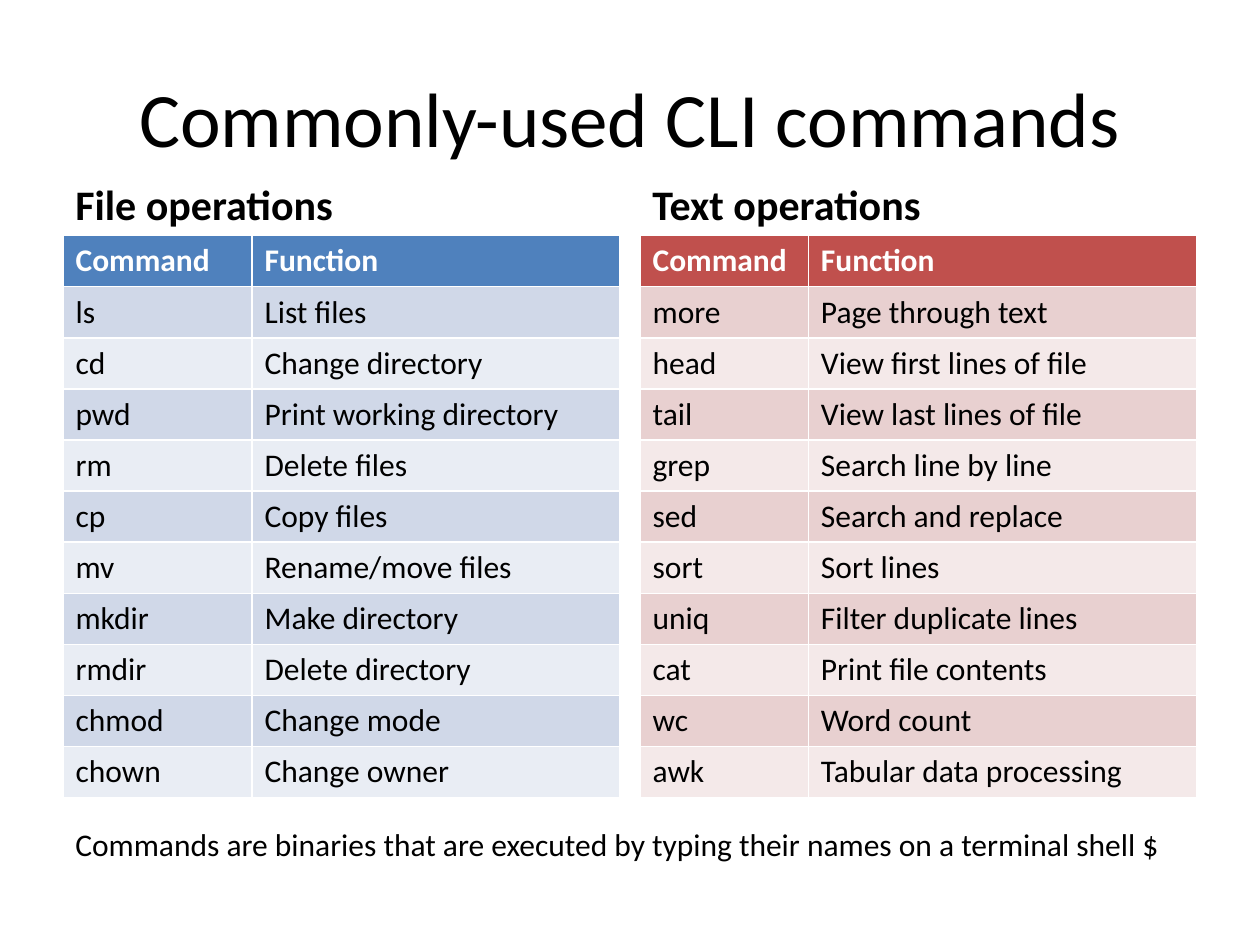
from pptx import Presentation
from pptx.dml.color import RGBColor
from pptx.enum import text
from pptx.util import Pt

FONT = "Calibri"
BLACK = RGBColor(0x00, 0x00, 0x00)
WHITE = RGBColor(0xFF, 0xFF, 0xFF)
BLUE = RGBColor(0x4F, 0x81, 0xBD)
BLUE_BANDS = (RGBColor(0xD0, 0xD8, 0xE8), RGBColor(0xE9, 0xED, 0xF4))
RED = RGBColor(0xC0, 0x50, 0x4D)
RED_BANDS = (RGBColor(0xE8, 0xD0, 0xD0), RGBColor(0xF4, 0xE9, 0xE9))

MARGIN = 36
PANEL_WIDTH = 318.24
HEADING_HEIGHT = 50.4
ROW_HEIGHT = 29.2

FILE_COMMANDS = [
    ("ls", "List files"),
    ("cd", "Change directory"),
    ("pwd", "Print working directory"),
    ("rm", "Delete files"),
    ("cp", "Copy files"),
    ("mv", "Rename/move files"),
    ("mkdir", "Make directory"),
    ("rmdir", "Delete directory"),
    ("chmod", "Change mode"),
    ("chown", "Change owner"),
]
TEXT_COMMANDS = [
    ("more", "Page through text"),
    ("head", "View first lines of file"),
    ("tail", "View last lines of file"),
    ("grep", "Search line by line"),
    ("sed", "Search and replace"),
    ("sort", "Sort lines"),
    ("uniq", "Filter duplicate lines"),
    ("cat", "Print file contents"),
    ("wc", "Word count"),
    ("awk", "Tabular data processing"),
]


def write(frame, words, size, color=BLACK, bold=False):
    """Fill a text frame with one formatted paragraph."""
    frame.text = words
    font = frame.paragraphs[0].runs[0].font
    font.name, font.size, font.bold = FONT, Pt(size), bold
    font.color.rgb = color


def add_label(slide, box, words, size, bold=False, wrap=True,
              anchor=text.MSO_ANCHOR.TOP, align=text.PP_ALIGN.LEFT):
    """Place a line of text in the given box."""
    frame = slide.shapes.add_textbox(*map(Pt, box)).text_frame
    frame.word_wrap = wrap
    frame.vertical_anchor = anchor
    write(frame, words, size, bold=bold)
    frame.paragraphs[0].alignment = align


def add_panel(slide, left, top, heading, commands, command_width, accent, bands):
    """Place a heading with its command table below."""
    add_label(slide, (left, top, PANEL_WIDTH, HEADING_HEIGHT), heading, 24,
              bold=True, anchor=text.MSO_ANCHOR.BOTTOM)
    rows = [("Command", "Function")] + commands
    table = slide.shapes.add_table(
        len(rows), 2, Pt(left), Pt(top + HEADING_HEIGHT),
        Pt(PANEL_WIDTH), Pt(ROW_HEIGHT * len(rows))).table
    table.columns[0].width = Pt(command_width)
    table.columns[1].width = Pt(PANEL_WIDTH - command_width)
    for r, entry in enumerate(rows):
        table.rows[r].height = Pt(ROW_HEIGHT)
        header = r == 0
        for c, words in enumerate(entry):
            cell = table.cell(r, c)
            cell.fill.solid()
            cell.fill.fore_color.rgb = accent if header else bands[(r - 1) % 2]
            write(cell.text_frame, words, 18, WHITE if header else BLACK, header)


def build_commands_slide(deck):
    """Build the slide with title, two command panels and closing note."""
    slide = deck.slides.add_slide(deck.slide_layouts[6])
    add_label(slide, (MARGIN, 21.6, 648, 90), "Commonly-used CLI commands", 44,
              anchor=text.MSO_ANCHOR.MIDDLE, align=text.PP_ALIGN.CENTER)
    add_panel(slide, MARGIN, 84.24, "File operations", FILE_COMMANDS,
              108, BLUE, BLUE_BANDS)
    add_panel(slide, 720 - MARGIN - PANEL_WIDTH, 84.24, "Text operations",
              TEXT_COMMANDS, 96.2, RED, RED_BANDS)
    add_label(slide, (MARGIN, 468, 640, 29),
              "Commands are binaries that are executed by typing their names"
              " on a terminal shell $", 18, wrap=False)


deck = Presentation()
deck.slide_width, deck.slide_height = Pt(720), Pt(540)
build_commands_slide(deck)
deck.save("out.pptx")
